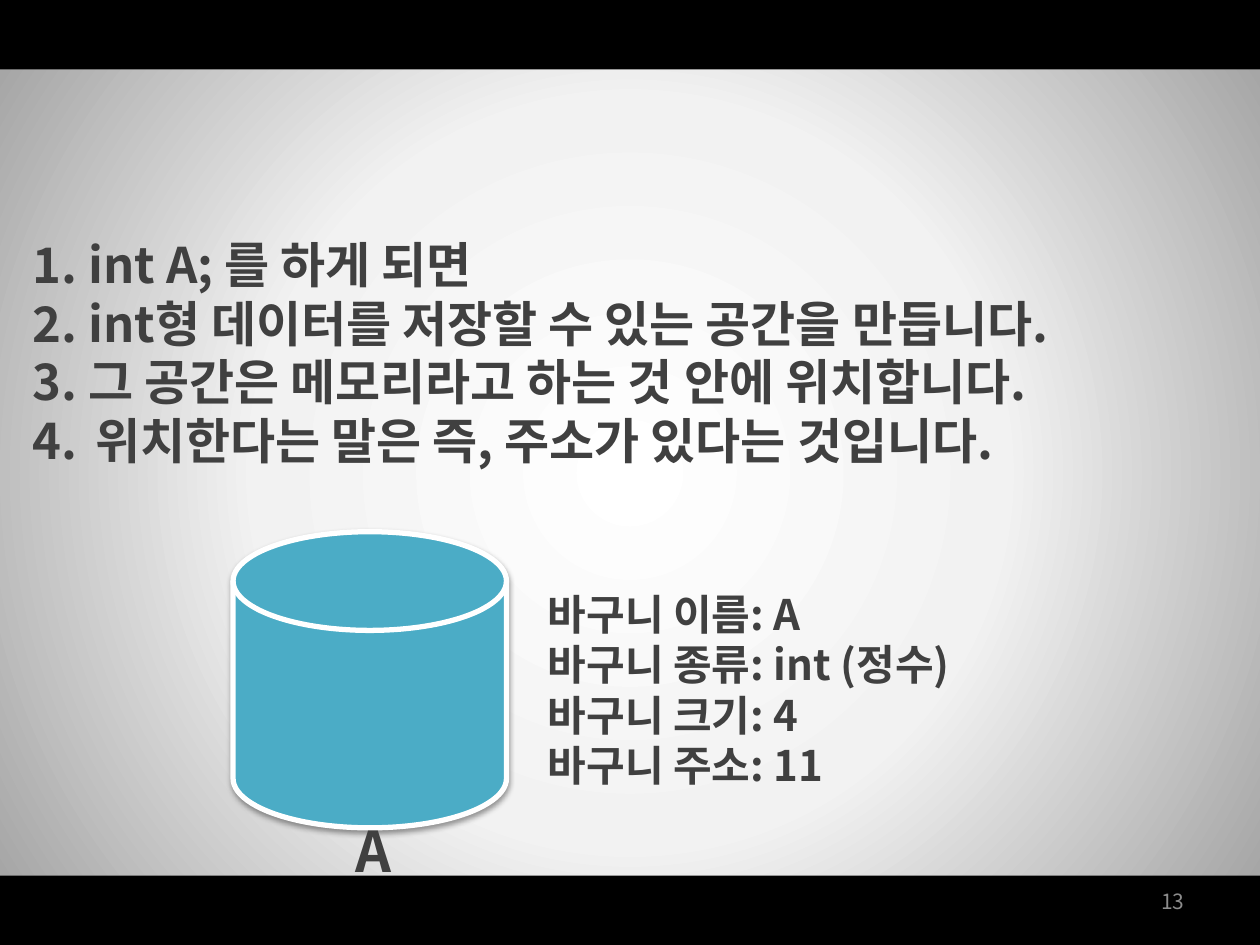
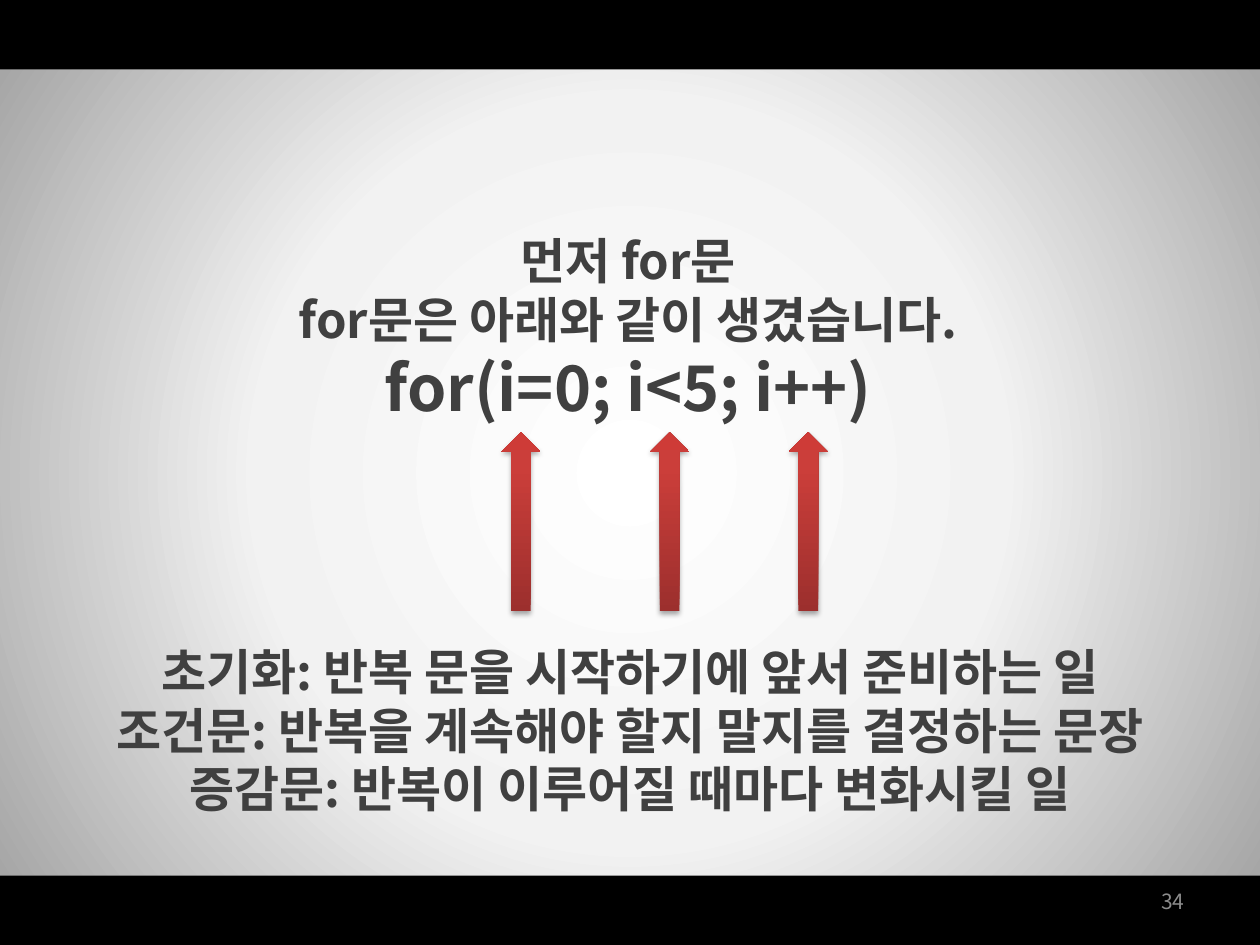
from pptx import Presentation
from pptx.dml.color import RGBColor
from pptx.enum.shapes import MSO_SHAPE
from pptx.enum.text import MSO_ANCHOR, MSO_AUTO_SIZE, PP_ALIGN
from pptx.oxml import parse_xml
from pptx.oxml.ns import nsdecls, qn
from pptx.util import Inches, Pt

FONT = "Noto Sans CJK KR"
BLACK, WHITE = "000000", "FFFFFF"
TEXT, NUMBER, DISK = "404040", "8C8C8C", "4BACC6"
SLIDE_WIDTH, SLIDE_HEIGHT, BAND_HEIGHT = 10, 7.5, 0.55
BACKDROP_STOPS = [(0, WHITE), (50, "F2F2F2"), (100, "A6A6A6")]
ARROW_STOPS = [(0, "9C2F2D"), (80, "CB3E3A"), (100, "CE3B37")]
RADIAL = '<a:path path="circle"><a:fillToRect l="50000" t="50000" r="50000" b="50000"/></a:path>'
UPWARD = '<a:lin ang="16200000" scaled="0"/>'


def color(value):
    return RGBColor.from_string(value)


def apply(target, values):
    for name, value in values.items():
        setattr(target, name, value)


def add_shape(slide, kind, box, fill=None):
    shape = slide.shapes.add_shape(kind, *map(Inches, box))
    shape.shadow.inherit = False
    shape.line.fill.background()
    if fill:
        shape.fill.solid()
        shape.fill.fore_color.rgb = color(fill)
    else:
        shape.fill.background()
    return shape


def add_gradient_shape(slide, kind, box, stops, direction):
    shape = add_shape(slide, kind, box)
    stop_xml = "".join(
        f'<a:gs pos="{position * 1000}"><a:srgbClr val="{value}"/></a:gs>'
        for position, value in stops
    )
    gradient = parse_xml(
        f'<a:gradFill {nsdecls("a")} rotWithShape="1">'
        f"<a:gsLst>{stop_xml}</a:gsLst>{direction}</a:gradFill>"
    )
    properties = shape.element.spPr
    properties.replace(properties.find(qn("a:noFill")), gradient)
    return shape


def add_shadow(shape, opacity, blur, distance):
    effects = shape.element.spPr.find(qn("a:effectLst"))
    effects.append(parse_xml(
        f'<a:outerShdw {nsdecls("a")} blurRad="{Pt(blur)}" dist="{Pt(distance)}" '
        f'dir="5400000" rotWithShape="0"><a:srgbClr val="{BLACK}">'
        f'<a:alpha val="{opacity * 1000}"/></a:srgbClr></a:outerShdw>'
    ))


def add_text(slide, box, lines, size=28, fill=TEXT, bold=True,
             align=PP_ALIGN.LEFT, **frame_format):
    frame = slide.shapes.add_textbox(*map(Inches, box)).text_frame
    apply(frame, {"word_wrap": True, "auto_size": MSO_AUTO_SIZE.SHAPE_TO_FIT_TEXT,
                  **frame_format})
    frame.text = "\n".join(lines)
    for paragraph in frame.paragraphs:
        paragraph.alignment = align
        run = paragraph.runs[0]
        apply(run.font, {"name": FONT, "size": Pt(size), "bold": bold})
        run.font.color.rgb = color(fill)
        run.font._element.append(
            parse_xml(f'<a:ea {nsdecls("a")} typeface="{FONT}"/>')
        )
    return frame


def number_paragraph(paragraph, start):
    properties = paragraph._p.get_or_add_pPr()
    properties.set("marL", str(Inches(0.5)))
    properties.set("indent", str(-Inches(0.5)))
    properties.append(parse_xml(
        f'<a:buAutoNum {nsdecls("a")} type="arabicPeriod" startAt="{start}"/>'
    ))


def add_base_slide(presentation, layout, number):
    slide = presentation.slides.add_slide(layout)
    for top in (0, SLIDE_HEIGHT - BAND_HEIGHT):
        add_shape(slide, MSO_SHAPE.RECTANGLE,
                  (0, top, SLIDE_WIDTH, BAND_HEIGHT), BLACK)
    add_text(slide, (7.17, 6.95, 2.33, 0.4), [str(number)], size=12, fill=NUMBER,
             bold=False, align=PP_ALIGN.RIGHT, auto_size=MSO_AUTO_SIZE.NONE,
             vertical_anchor=MSO_ANCHOR.MIDDLE)
    return slide


def add_backdrop(slide):
    backdrop = add_gradient_shape(
        slide, MSO_SHAPE.RECTANGLE,
        (0, BAND_HEIGHT, SLIDE_WIDTH, SLIDE_HEIGHT - 2 * BAND_HEIGHT + 0.01),
        BACKDROP_STOPS, RADIAL)
    slide.slide_layout.shapes.element.append(backdrop.element)


def fill_variable_slide(slide):
    steps = add_text(slide, (0.16, 1.81, 9.73, 2.73), [
        "1. int A; 를 하게 되면",
        "2. int형 데이터를 저장할 수 있는 공간을 만듭니다.",
        "3. 그 공간은 메모리라고 하는 것 안에 위치합니다.",
        "위치한다는 말은 즉, 주소가 있다는 것입니다.",
    ])
    number_paragraph(steps.paragraphs[-1], 4)
    basket = add_shape(slide, MSO_SHAPE.FLOWCHART_MAGNETIC_DISK,
                       (1.85, 4.22, 2.17, 2.35), DISK)
    basket.line.color.rgb = color(WHITE)
    basket.line.width = Pt(3)
    add_shadow(basket, 38, 3.1, 1.6)
    add_text(slide, (4.25, 4.62, 3.74, 1.72), [
        "바구니 이름: A",
        "바구니 종류: int (정수)",
        "바구니 크기: 4",
        "바구니 주소: 11",
    ], size=24)
    add_text(slide, (2.72, 6.43, 0.48, 0.64), ["A"], size=32, word_wrap=False)


def fill_loop_slide(slide):
    syntax = add_text(slide, (0.16, 1.78, 9.65, 1.65), [
        "먼저 for문",
        "for문은 아래와 같이 생겼습니다.",
        "for(i=0; i<5; i++)",
    ], align=PP_ALIGN.CENTER)
    syntax.paragraphs[-1].runs[0].font.size = Pt(36)
    for left in (3.98, 5.16, 6.26):
        arrow = add_gradient_shape(slide, MSO_SHAPE.UP_ARROW,
                                   (left, 3.43, 0.31, 1.42), ARROW_STOPS, UPWARD)
        add_shadow(arrow, 35, 3.1, 1.8)
    add_text(slide, (-0.14, 5.04, 10.28, 1.99), [
        "초기화: 반복 문을 시작하기에 앞서 준비하는 일",
        "조건문: 반복을 계속해야 할지 말지를 결정하는 문장",
        "증감문: 반복이 이루어질 때마다 변화시킬 일",
    ], align=PP_ALIGN.CENTER)


def main():
    presentation = Presentation()
    apply(presentation, {"slide_width": Inches(SLIDE_WIDTH),
                         "slide_height": Inches(SLIDE_HEIGHT)})
    layout = presentation.slide_layouts[6]
    variable_slide = add_base_slide(presentation, layout, 13)
    add_backdrop(variable_slide)
    fill_variable_slide(variable_slide)
    fill_loop_slide(add_base_slide(presentation, layout, 34))
    presentation.save("out.pptx")


main()
